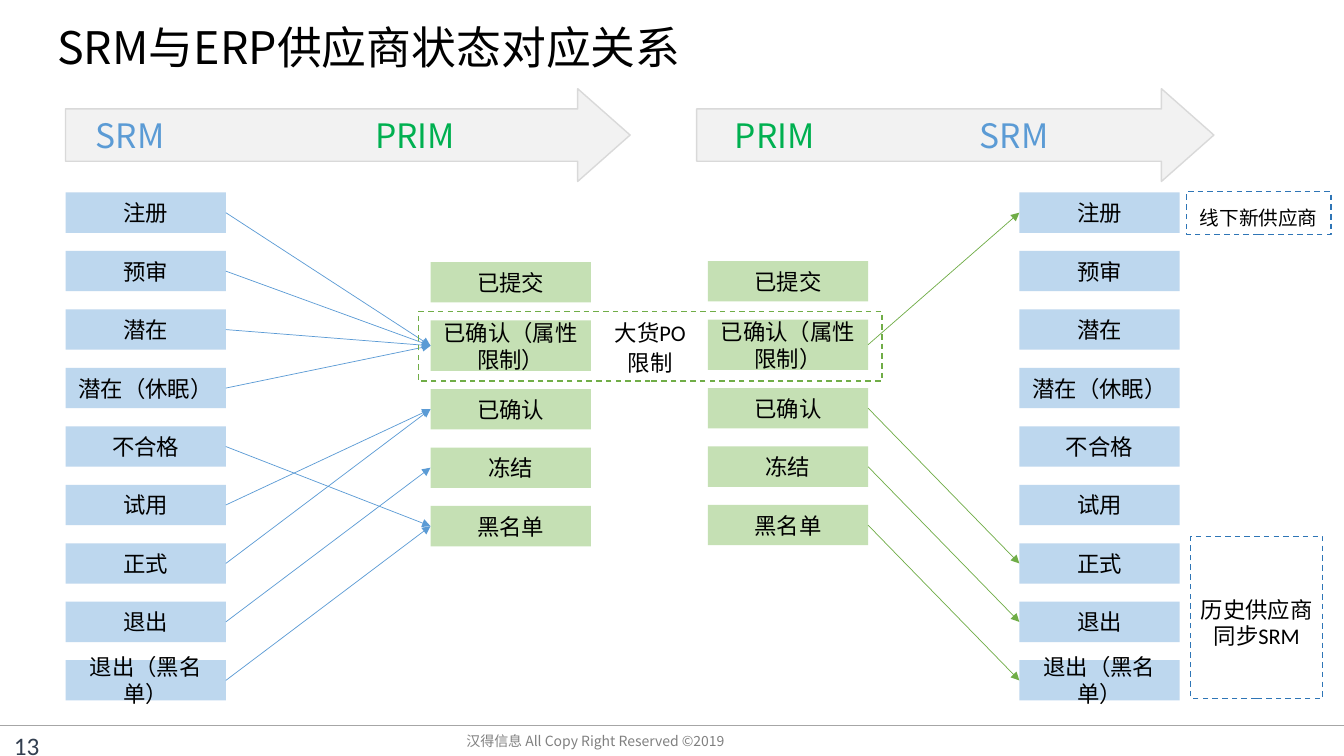
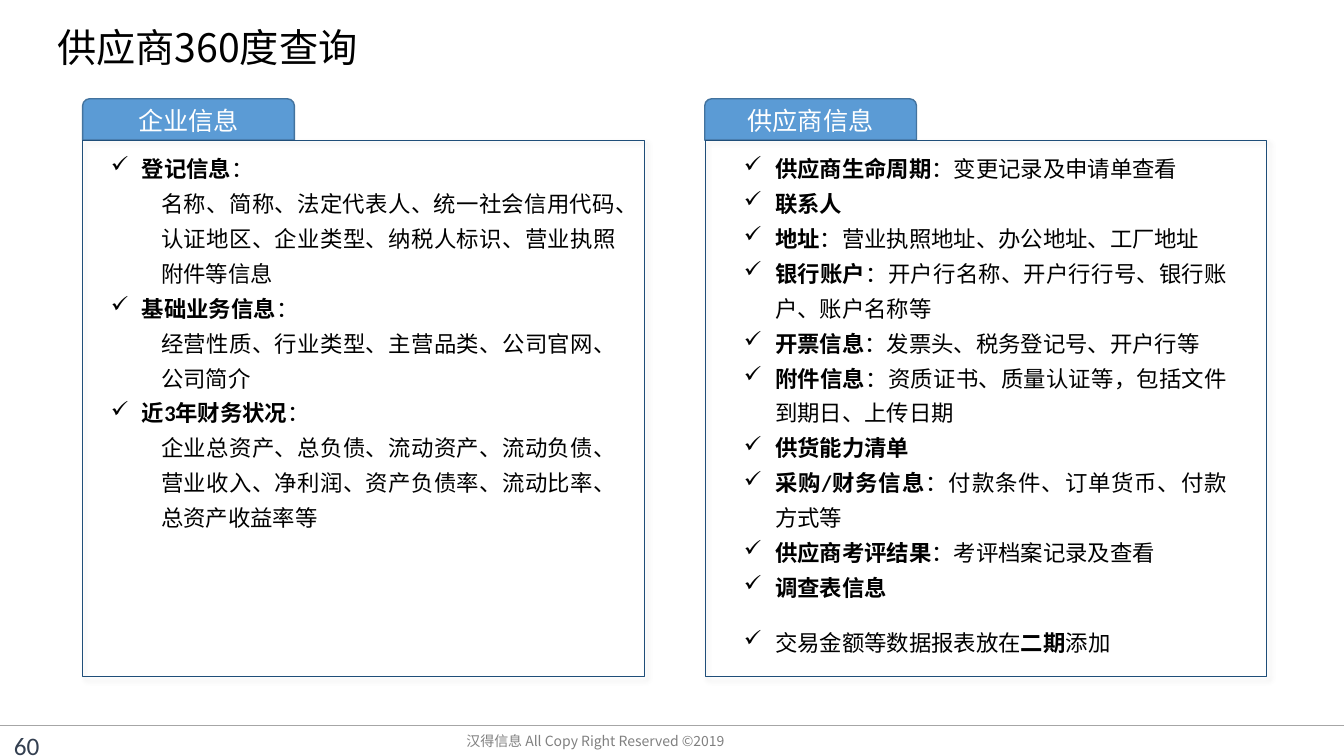
from lxml import etree
from pptx import Presentation
from pptx.dml.color import RGBColor
from pptx.enum.dml import MSO_LINE
from pptx.enum.shapes import MSO_CONNECTOR, MSO_SHAPE
from pptx.enum.text import MSO_ANCHOR, PP_ALIGN
from pptx.oxml.ns import qn
from pptx.util import Inches, Pt

RECT = MSO_SHAPE.RECTANGLE
TAB_SHAPE = MSO_SHAPE.ROUND_2_SAME_RECTANGLE
ARROW = MSO_SHAPE.RIGHT_ARROW
STRAIGHT = MSO_CONNECTOR.STRAIGHT
DASH = MSO_LINE.DASH
LEFT, CENTER, JUSTIFY = PP_ALIGN.LEFT, PP_ALIGN.CENTER, PP_ALIGN.JUSTIFY
TOP, MIDDLE = MSO_ANCHOR.TOP, MSO_ANCHOR.MIDDLE

BLACK = RGBColor(0x00, 0x00, 0x00)
WHITE = RGBColor(0xFF, 0xFF, 0xFF)
FOOTER_GRAY = RGBColor(0x80, 0x80, 0x80)
RULE_GRAY = RGBColor(0xA6, 0xA6, 0xA6)
NUMBER_SLATE = RGBColor(0x33, 0x3F, 0x50)
ARROW_FILL = RGBColor(0xF2, 0xF2, 0xF2)
ARROW_EDGE = RGBColor(0xD9, 0xD9, 0xD9)
BLUE = RGBColor(0x5B, 0x9B, 0xD5)
PALE_BLUE = RGBColor(0xBD, 0xD7, 0xEE)
DASH_BLUE = RGBColor(0x2E, 0x75, 0xB6)
TAB_EDGE = RGBColor(0x43, 0x73, 0x9E)
PANEL_EDGE = RGBColor(0x1F, 0x4E, 0x79)
GREEN = RGBColor(0x70, 0xAD, 0x47)
PALE_GREEN = RGBColor(0xC5, 0xE0, 0xB4)
PRIM_GREEN = RGBColor(0x00, 0xB0, 0x50)

BODY_FONT = "Calibri"
HEAD_FONT = "Noto Sans CJK SC"
SLIDE_W, SLIDE_H = 13.33, 7.5
STATE_W, STATE_H, TALL_H, GAP = 1.59, 0.4, 0.5, 0.18
HANG = 0.31

SRM_STATES = ["注册", "预审", "潜在", "潜在（休眠）", "不合格", "试用", "正式",
              "退出", "退出（黑名单）"]
LIMITED = "已确认（属性限制）"
PRIM_STATES = ["已提交", LIMITED, "已确认", "冻结", "黑名单"]
SRM_TO_PRIM = [("注册", LIMITED), ("预审", LIMITED), ("潜在", LIMITED),
               ("潜在（休眠）", LIMITED), ("不合格", "黑名单"), ("试用", "已确认"),
               ("正式", "已确认"), ("退出", "冻结"), ("退出（黑名单）", "黑名单")]
PRIM_TO_SRM = [(LIMITED, "注册"), ("已确认", "正式"), ("冻结", "退出"),
               ("黑名单", "退出（黑名单）")]

# Each entry: heading, text on the same line, indented detail
COMPANY_ITEMS = [
    ("登记信息", "：", "名称、简称、法定代表人、统一社会信用代码、认证地区、企业类型、"
     "纳税人标识、营业执照附件等信息"),
    ("基础业务信息", "：", "经营性质、行业类型、主营品类、公司官网、公司简介"),
    ("近3年财务状况", "：", "企业总资产、总负债、流动资产、流动负债、营业收入、净利润、"
     "资产负债率、流动比率、总资产收益率等"),
]
SUPPLIER_ITEMS = [
    ("供应商生命周期", "：变更记录及申请单查看", ""),
    ("联系人", "", ""),
    ("地址", "：营业执照地址、办公地址、工厂地址", ""),
    ("银行账户", "：开户行名称、开户行行号、银行账户、账户名称等", ""),
    ("开票信息", "：发票头、税务登记号、开户行等", ""),
    ("附件信息", "：资质证书、质量认证等，包括文件到期日、上传日期", ""),
    ("供货能力清单", "", ""),
    ("采购/财务信息", "：付款条件、订单货币、付款方式等", ""),
    ("供应商考评结果", "：考评档案记录及查看", ""),
    ("调查表信息", "", ""),
]
PHASE_TWO_NOTE = [("交易金额等数据报表放在", False), ("二期", True), ("添加", False)]


def inches(*lengths):
    return [Inches(length) for length in lengths]


def add_run(paragraph, text, size, color=BLACK, font=BODY_FONT, bold=False):
    """Add one run, using the same font for Latin and East Asian text."""
    run = paragraph.add_run()
    run.text = text
    run.font.size = Pt(size)
    run.font.bold = bold
    run.font.color.rgb = color
    run.font.name = font
    east_asian = etree.SubElement(run.font._element, qn("a:ea"))
    east_asian.set("typeface", font)


def add_text(slide, box, text, size, color=BLACK, font=BODY_FONT, align=LEFT, anchor=TOP):
    frame = slide.shapes.add_textbox(*inches(*box)).text_frame
    frame.word_wrap = True
    frame.vertical_anchor = anchor
    paragraph = frame.paragraphs[0]
    paragraph.alignment = align
    if text:
        add_run(paragraph, text, size, color, font)
    return frame


def add_block(slide, kind, box, fill=None, edge=None, edge_width=1):
    block = slide.shapes.add_shape(kind, *inches(*box))
    block.shadow.inherit = False
    if fill is None:
        block.fill.background()
    else:
        block.fill.solid()
        block.fill.fore_color.rgb = fill
    if edge is None:
        block.line.fill.background()
    else:
        block.line.color.rgb = edge
        block.line.width = Pt(edge_width)
    block.text_frame.word_wrap = True
    return block


def label(block, lines, size, color=BLACK, anchor=MIDDLE, spacing=None):
    """Write centred lines into a block."""
    frame = block.text_frame
    frame.vertical_anchor = anchor
    for index, line in enumerate(lines):
        paragraph = frame.add_paragraph() if index else frame.paragraphs[0]
        paragraph.alignment = CENTER
        if spacing:
            paragraph.line_spacing = spacing
        add_run(paragraph, line, size, color)


def add_line(slide, start, end, color, width):
    line = slide.shapes.add_connector(STRAIGHT, *inches(*start, *end))
    line.line.color.rgb = color
    line.line.width = Pt(width)
    etree.SubElement(line._element.spPr, qn("a:effectLst"))
    return line


def add_frame(slide, title, title_size, number):
    """Title, footer rule, copyright line and page number."""
    add_text(slide, (0.47, 0.17, 10.6, 0.58), title, title_size, font=HEAD_FONT, anchor=MIDDLE)
    rule_y = SLIDE_H * 0.96
    add_line(slide, (0, rule_y), (SLIDE_W, rule_y), RULE_GRAY, 0.75)
    add_text(slide, (3.49, rule_y + 0.02, 4.83, 0.24),
             "汉得信息 All Copy Right Reserved ©2019", 10, FOOTER_GRAY, HEAD_FONT, CENTER)
    add_text(slide, (0.04, rule_y, 0.54, 0.29), str(number), 18, NUMBER_SLATE)


def direction_arrow(slide, box, systems):
    """Arrow naming two systems, each given as (name, colour, offset)."""
    arrow = add_block(slide, ARROW, box, ARROW_FILL, ARROW_EDGE)
    arrow.adjustments[0] = 0.564
    arrow.adjustments[1] = 0.565
    frame = arrow.text_frame
    frame.margin_left = frame.margin_right = frame.margin_top = frame.margin_bottom = 0
    frame.vertical_anchor = MIDDLE
    paragraph = frame.paragraphs[0]
    paragraph.alignment = LEFT
    stops = etree.SubElement(paragraph._p.get_or_add_pPr(), qn("a:tabLst"))
    for name, color, offset in systems:
        stop = etree.SubElement(stops, qn("a:tab"))
        stop.set("pos", str(Inches(offset)))
        stop.set("algn", "l")
        add_run(paragraph, "\t" + name, 24, color, HEAD_FONT)


def state_column(slide, left, top, states, fill):
    """Stack the states and return their blocks by name."""
    blocks = {}
    for state in states:
        height = TALL_H if state == LIMITED else STATE_H
        blocks[state] = add_block(slide, RECT, (left, top, STATE_W, height), fill)
        label(blocks[state], [state], 16)
        top += height + GAP
    return blocks


def map_states(slide, sources, targets, pairs, color):
    left_site, right_site = 1, 3
    for source, target in pairs:
        link = add_line(slide, (0, 0), (1, 1), color, 0.5)
        link.begin_connect(sources[source], right_site)
        link.end_connect(targets[target], left_site)
        head = etree.SubElement(link.line._get_or_add_ln(), qn("a:tailEnd"))
        head.set("type", "triangle")


def dashed_note(slide, box, lines, size, edge, anchor=TOP, spacing=None):
    note = add_block(slide, RECT, box, edge=edge)
    note.line.dash_style = DASH
    label(note, lines, size, anchor=anchor, spacing=spacing)
    return note.text_frame


def build_state_mapping(slide):
    add_frame(slide, "SRM与ERP供应商状态对应关系", 32, 13)
    srm_top = 1.91
    srm_from = state_column(slide, 0.65, srm_top, SRM_STATES, PALE_BLUE)
    prim_to = state_column(slide, 4.27, 2.6, PRIM_STATES, PALE_GREEN)
    map_states(slide, srm_from, prim_to, SRM_TO_PRIM, BLUE)
    srm_to = state_column(slide, 10.11, srm_top, SRM_STATES, PALE_BLUE)
    prim_from = state_column(slide, 7.02, 2.59, PRIM_STATES, PALE_GREEN)
    map_states(slide, prim_from, srm_to, PRIM_TO_SRM, GREEN)

    direction_arrow(slide, (0.65, 0.88, 5.6, 0.92),
                    [("SRM", BLUE, 0.3), ("PRIM", PRIM_GREEN, 3.07)])
    direction_arrow(slide, (6.91, 0.88, 5.13, 0.92),
                    [("PRIM", PRIM_GREEN, 0.38), ("SRM", BLUE, 2.81)])

    dashed_note(slide, (11.77, 1.9, 1.43, 0.43), ["线下新供应商"], 14, DASH_BLUE, spacing=1.4)
    history = dashed_note(slide, (11.81, 5.32, 1.31, 1.61), ["历史供应商同步SRM"], 16,
                          DASH_BLUE, MIDDLE)
    history.margin_left = history.margin_right = Inches(0.05)
    history.margin_top = Inches(0.15)
    dashed_note(slide, (4.15, 3.09, 4.6, 0.69), ["大货PO", "限制"], 16, GREEN, spacing=1.1)


def add_item(frame, runs, indent=HANG, checked=True):
    """Add one justified line of (text, bold) runs, with a tick if checked."""
    first = frame.paragraphs[0]
    paragraph = frame.add_paragraph() if first.runs else first
    paragraph.alignment = JUSTIFY
    paragraph.line_spacing = 1.3
    properties = paragraph._p.get_or_add_pPr()
    properties.set("marL", str(Inches(indent)))
    properties.set("indent", str(Inches(-HANG if checked else 0)))
    if checked:
        etree.SubElement(properties, qn("a:buChar")).set("char", "✓")
    for text, bold in runs:
        if text:
            add_run(paragraph, text, 16, bold=bold)
    return paragraph


def cast_shadow(block):
    effects = block._element.spPr.find(qn("a:effectLst"))
    shadow = etree.SubElement(effects, qn("a:outerShdw"), blurRad=str(Pt(4)),
                              dist=str(Pt(3)), dir=str(45 * 60000), rotWithShape="0")
    color = etree.SubElement(shadow, qn("a:srgbClr"), val=str(BLACK))
    etree.SubElement(color, qn("a:alpha"), val="40000")


def info_panel(slide, box, heading, items, inset):
    """Tabbed panel with a ticked list; returns the list's text frame."""
    left, top, width, height = box
    tab_h = 0.41
    tab = add_block(slide, TAB_SHAPE, (left, top, 2.1, tab_h), BLUE, TAB_EDGE)
    label(tab, [heading], 18, WHITE)
    body_top = top + tab_h
    body = add_block(slide, RECT, (left, body_top, width, height - tab_h),
                     edge=PANEL_EDGE, edge_width=0.25)
    cast_shadow(body)
    frame = add_text(slide, (left + inset, body_top + 0.02, width - 2 * inset,
                             height - tab_h - 0.13), "", 16)
    for title, remark, detail in items:
        add_item(frame, [(title, True), (remark, False)])
        if detail:
            add_item(frame, [(detail, False)], indent=0.5, checked=False)
    return frame


def build_supplier_query(slide):
    add_frame(slide, "供应商360度查询", 28, 60)
    info_panel(slide, (0.82, 0.98, 5.57, 5.73), "企业信息", COMPANY_ITEMS, 0.18)
    supplier = info_panel(slide, (6.99, 0.98, 5.57, 5.73), "供应商信息", SUPPLIER_ITEMS, 0.29)
    add_item(supplier, PHASE_TWO_NOTE).space_before = Pt(14)


def main():
    deck = Presentation()
    deck.slide_width, deck.slide_height = inches(SLIDE_W, SLIDE_H)
    blank = deck.slide_layouts[6]
    for build in (build_state_mapping, build_supplier_query):
        build(deck.slides.add_slide(blank))
    deck.save("out.pptx")


if __name__ == "__main__":
    main()
